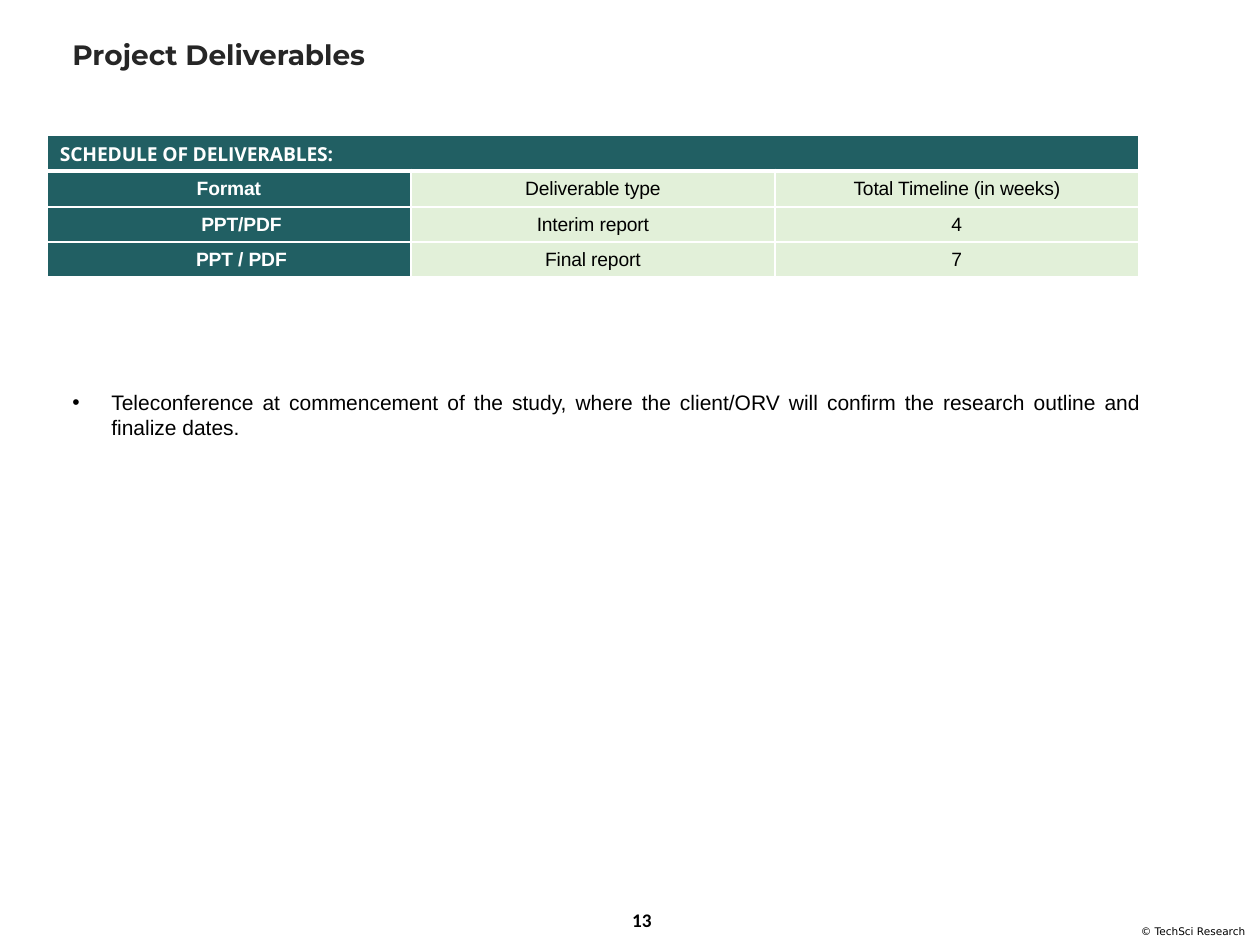
from typing import NamedTuple

from lxml.etree import SubElement
from pptx import Presentation
from pptx.dml.color import RGBColor
from pptx.enum.text import MSO_ANCHOR, MSO_AUTO_SIZE, PP_ALIGN
from pptx.oxml.ns import qn
from pptx.util import Emu, Pt

EMU_PER_PX = 914400 / 126

BLACK = RGBColor(0x00, 0x00, 0x00)
CHARCOAL = RGBColor(0x26, 0x26, 0x26)
WHITE = RGBColor(0xFF, 0xFF, 0xFF)
TEAL = RGBColor(0x21, 0x5F, 0x63)
PALE_GREEN = RGBColor(0xE2, 0xF0, 0xD9)

COL_WIDTH = 364
ROW_HEIGHTS = (36, 36, 35, 35)
CELL_INSET = 13
FORMAT_INDENT = 38


class Box(NamedTuple):
    left: int
    top: int
    width: int
    height: int


class Deliverable(NamedTuple):
    format: str
    kind: str
    weeks: str


TABLE_BOX = Box(47, 135, 3 * COL_WIDTH, sum(ROW_HEIGHTS))
DELIVERABLES = (
    Deliverable("Format", "Deliverable type", "Total Timeline (in weeks)"),
    Deliverable("PPT/PDF", "Interim report", "4"),
    Deliverable("PPT / PDF", "Final report", "7"),
)


def px(n: int) -> Emu:
    return Emu(round(n * EMU_PER_PX))


def write(tf, text: str, *, size: int, font: str, color: RGBColor = BLACK,
          bold: bool = False, align=PP_ALIGN.LEFT, spacing: int = 0):
    """Fill the first paragraph; spacing is in hundredths of a point."""
    p = tf.paragraphs[0]
    p.alignment = align
    r = p.add_run()
    r.text = text
    r.font.size = Pt(size)
    r.font.name = font
    r.font.bold = bold
    r.font.color.rgb = color
    if spacing:
        r._r.get_or_add_rPr().set("spc", str(spacing))
    return p


def add_text(s, box: Box, text: str, *, anchor=MSO_ANCHOR.MIDDLE,
             wrap: bool = True, **fmt):
    tf = s.shapes.add_textbox(*map(px, box)).text_frame
    tf.word_wrap = wrap
    tf.vertical_anchor = anchor
    return tf, write(tf, text, **fmt)


def add_bullet(p, indent: int) -> None:
    pPr = p._p.get_or_add_pPr()
    pPr.set("marL", str(px(indent)))
    pPr.set("indent", str(-px(indent)))
    SubElement(pPr, qn("a:buFont"), typeface="Arial")
    SubElement(pPr, qn("a:buChar"), char="•")


def set_borders(cell, **points: int) -> None:
    """Draw white cell borders, 1 pt unless a side (L, R, T, B) is given."""
    tcPr = cell._tc.get_or_add_tcPr()
    for side in "LRTB":
        ln = SubElement(tcPr, qn(f"a:ln{side}"), w=str(Pt(points.get(side, 1))))
        fill = SubElement(ln, qn("a:solidFill"))
        SubElement(fill, qn("a:srgbClr"), val=str(WHITE))


def style_cell(cell, fill: RGBColor, left_inset: int = CELL_INSET,
               **borders: int) -> None:
    set_borders(cell, **borders)
    cell.fill.solid()
    cell.fill.fore_color.rgb = fill
    cell.vertical_anchor = MSO_ANCHOR.MIDDLE
    cell.margin_left = px(left_inset)
    cell.margin_right = px(CELL_INSET)
    cell.margin_top = cell.margin_bottom = px(6)


def add_schedule(s) -> None:
    table = s.shapes.add_table(len(ROW_HEIGHTS), 3, *map(px, TABLE_BOX)).table
    for col in table.columns:
        col.width = px(COL_WIDTH)
    for row, height in zip(table.rows, ROW_HEIGHTS):
        row.height = px(height)

    heading = table.cell(0, 0)
    heading.merge(table.cell(0, 2))
    for cell in table.rows[0].cells:
        style_cell(cell, TEAL, B=3)
    write(heading.text_frame, "SCHEDULE OF DELIVERABLES:", size=11,
          font="Open Sans", color=WHITE, bold=True, spacing=-10)

    for i, item in enumerate(DELIVERABLES, start=1):
        for j, text in enumerate(item):
            cell = table.cell(i, j)
            is_format = j == 0
            inset = FORMAT_INDENT if is_format and i > 1 else CELL_INSET
            style_cell(cell, TEAL if is_format else PALE_GREEN, inset,
                       T=3 if i == 1 else 1)
            write(cell.text_frame, text, size=11, font="Arial",
                  color=WHITE if is_format else BLACK, bold=is_format,
                  align=PP_ALIGN.CENTER, spacing=-10)


def main() -> None:
    prs = Presentation()
    prs.slide_width, prs.slide_height = px(1260), px(945)
    s = prs.slides.add_slide(prs.slide_layouts[6])

    add_text(s, Box(611, 895, 62, 50), "13", size=11, font="Calibri",
             bold=True, align=PP_ALIGN.CENTER)
    add_text(s, Box(1126, 922, 134, 19), "© TechSci Research", wrap=False,
             size=6, font="DejaVu Sans", align=PP_ALIGN.CENTER)
    _, title = add_text(s, Box(60, 25, 1045, 63), "Project Deliverables",
                        size=16, font="Montserrat", color=CHARCOAL, bold=True)
    title.line_spacing = 0.9

    tf, note = add_text(
        s, Box(60, 383, 1094, 63),
        "Teleconference at commencement of the study, where the client/ORV "
        "will confirm the research outline and finalize dates.",
        anchor=MSO_ANCHOR.TOP, size=12, font="Arial", align=PP_ALIGN.JUSTIFY)
    tf.auto_size = MSO_AUTO_SIZE.SHAPE_TO_FIT_TEXT
    add_bullet(note, 39)

    add_schedule(s)
    prs.save("out.pptx")


if __name__ == "__main__":
    main()
